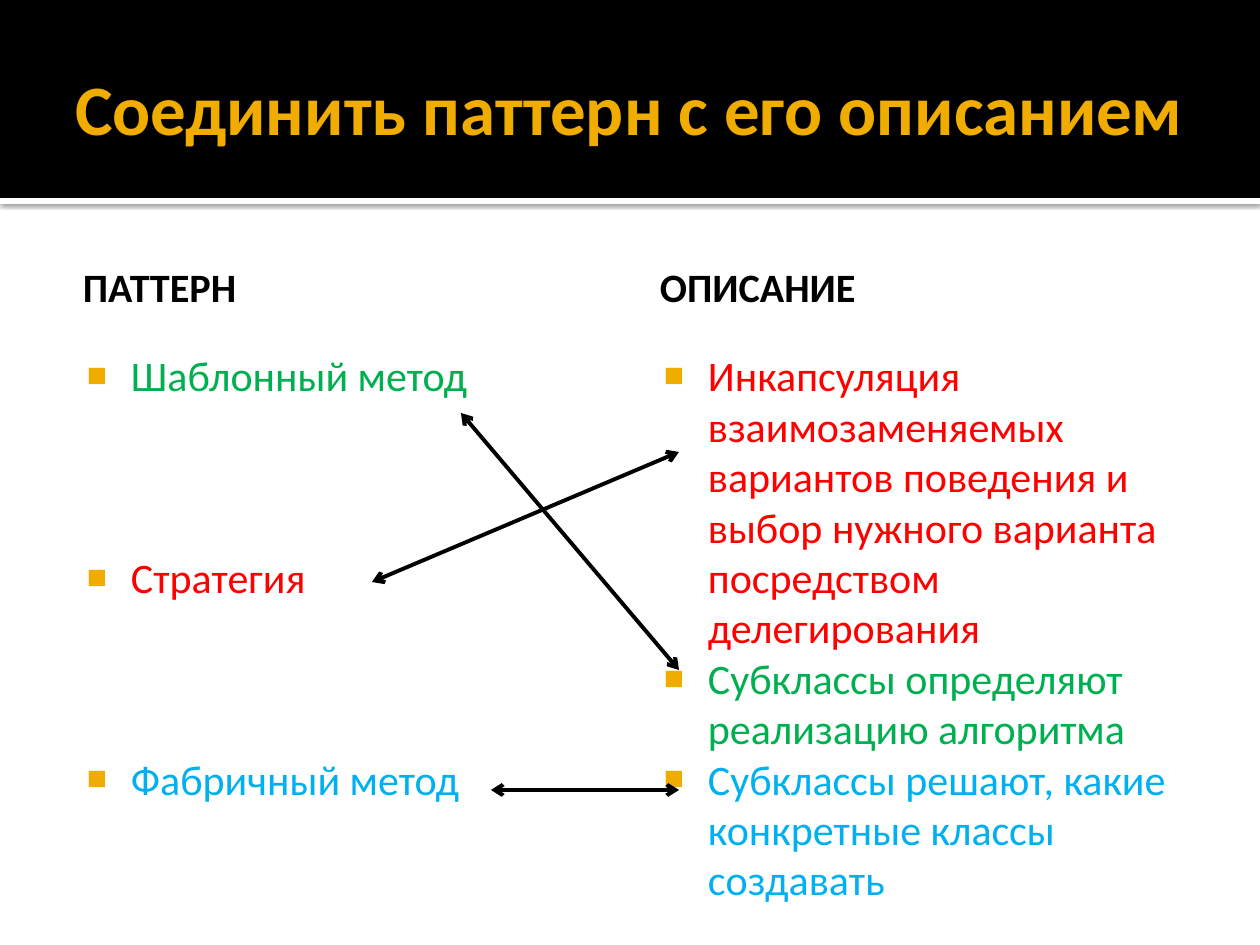
from lxml import etree
from pptx import Presentation, util as u
from pptx.dml.color import RGBColor
from pptx.enum import shapes, text
from pptx.oxml import parse_xml
from pptx.oxml.ns import qn

PX = 914400 // 126
FONT = "Calibri"
BLACK, WHITE, GOLD = "000000", "FFFFFF", "F0AD00"
GREEN, RED, BLUE = "00B050", "FF0000", "00B0F0"
NS = 'xmlns:a="http://schemas.openxmlformats.org/drawingml/2006/main"'

TITLE = "Соединить паттерн с его описанием"
# heading, left edge, space between items in points, items
COLUMNS = [
    ("ПАТТЕРН", 63, 86.4, [
        ("Шаблонный метод", GREEN),
        ("Стратегия", RED),
        ("Фабричный метод", BLUE)]),
    ("ОПИСАНИЕ", 640, 0, [
        ("Инкапсуляция взаимозаменяемых вариантов поведения и выбор "
         "нужного варианта посредством делегирования", RED),
        ("Субклассы определяют реализацию алгоритма", GREEN),
        ("Субклассы решают, какие конкретные классы создавать", BLUE)]),
]
COLUMN_W = 557
HEADING_Y, HEADING_H = 234, 98
LIST_Y, LIST_H = 338, 544
BANDS = [(198, 6, WHITE), (0, 198, BLACK)]  # top, height, colour
ARROW_END_X = 679
ARROWS = [(461, 413, 670), (372, 582, 452), (491, 790, 790)]  # x1, y1, y2


def px(*values):
    """Turn picture pixels into EMU."""
    return [u.Emu(round(v * PX)) for v in values]


def rgb(value):
    """Turn a hex string into a colour."""
    return RGBColor.from_string(value)


def add_run(p, words, size, color, bold=False):
    """Add one formatted run to a paragraph."""
    r = p.add_run()
    r.text = words
    r.font.name, r.font.size, r.font.bold = FONT, u.Pt(size), bold
    r.font.color.rgb = rgb(color)


def set_frame(sp, insets, anchor):
    """Set wrapping, insets in pixels and anchor; return the text frame."""
    tf = sp.text_frame
    tf.word_wrap, tf.auto_size = True, text.MSO_AUTO_SIZE.NONE
    tf.margin_left, tf.margin_top, tf.margin_right, tf.margin_bottom = px(*insets)
    tf.vertical_anchor = anchor
    return tf


def add_bullet(p):
    """Give a paragraph a gold square bullet with a hanging indent."""
    pPr = p._p.get_or_add_pPr()
    left, hang = px(60, 44)
    pPr.set("marL", str(left))
    pPr.set("indent", str(-hang))
    for xml in (f'<a:buClr {NS}><a:srgbClr val="{GOLD}"/></a:buClr>',
                f'<a:buSzPct {NS} val="80000"/>',
                f'<a:buFont {NS} typeface="Arial"/>',
                f'<a:buChar {NS} char="■"/>'):
        pPr.append(parse_xml(xml))


def add_band(s, top, height, color):
    """Add a full-width band behind the title."""
    sp = s.shapes.add_shape(shapes.MSO_SHAPE.RECTANGLE, *px(0, top, 1260, height))
    sp.shadow.inherit = False
    sp.fill.solid()
    sp.fill.fore_color.rgb = rgb(color)
    sp.line.fill.background()
    s.shapes.title.element.addprevious(sp.element)
    return sp


def add_shadow(sp):
    """Cast a soft shadow straight down."""
    effects = sp.element.spPr.find(qn("a:effectLst"))
    effects.append(parse_xml(
        f'<a:outerShdw {NS} blurRad="31750" dist="10160" dir="5400000" '
        'algn="t" rotWithShape="0"><a:srgbClr val="000000">'
        '<a:alpha val="60000"/></a:srgbClr></a:outerShdw>'))


def add_column(s, heading, left, gap, items):
    """Add a heading and its bulleted list."""
    sp = s.shapes.add_textbox(*px(left, HEADING_Y, COLUMN_W, HEADING_H))
    tf = set_frame(sp, (20, 12, 12, 6), text.MSO_ANCHOR.MIDDLE)
    add_run(tf.paragraphs[0], heading, 23, BLACK, True)

    sp = s.shapes.add_textbox(*px(left, LIST_Y, COLUMN_W, LIST_H))
    tf = set_frame(sp, (8, 12, 12, 6), text.MSO_ANCHOR.TOP)
    for i, (words, color) in enumerate(items):
        p = tf.add_paragraph() if i else tf.paragraphs[0]
        p.line_spacing = u.Pt(28.8)
        p.space_before = u.Pt(gap if i else 0)
        add_bullet(p)
        add_run(p, words, 24, color)


def add_arrow(s, x1, y1, y2):
    """Add a line with an open arrowhead at each end."""
    c = s.shapes.add_connector(shapes.MSO_CONNECTOR.STRAIGHT,
                               *px(x1, y1, ARROW_END_X, y2))
    c.line.width = u.Pt(2.25)
    c.line.color.rgb = rgb(BLACK)
    ln = c.line._get_or_add_ln()
    for end in ("a:headEnd", "a:tailEnd"):
        etree.SubElement(ln, qn(end), type="arrow")
    etree.SubElement(c.element.spPr, qn("a:effectLst"))


prs = Presentation()
prs.slide_width, prs.slide_height = px(1260, 945)
s = prs.slides.add_slide(prs.slide_layouts[5])

title = s.shapes.title
title.left, title.top, title.width, title.height = px(63, 21, 1134, 173)
tf = set_frame(title, (12, 6, 6, 6), text.MSO_ANCHOR.MIDDLE)
tf.paragraphs[0].alignment = text.PP_ALIGN.LEFT
add_run(tf.paragraphs[0], TITLE, 40.5, GOLD, True)

underline, header = [add_band(s, *band) for band in BANDS]
add_shadow(underline)
for column in COLUMNS:
    add_column(s, *column)
for arrow in ARROWS:
    add_arrow(s, *arrow)

prs.save("out.pptx")
